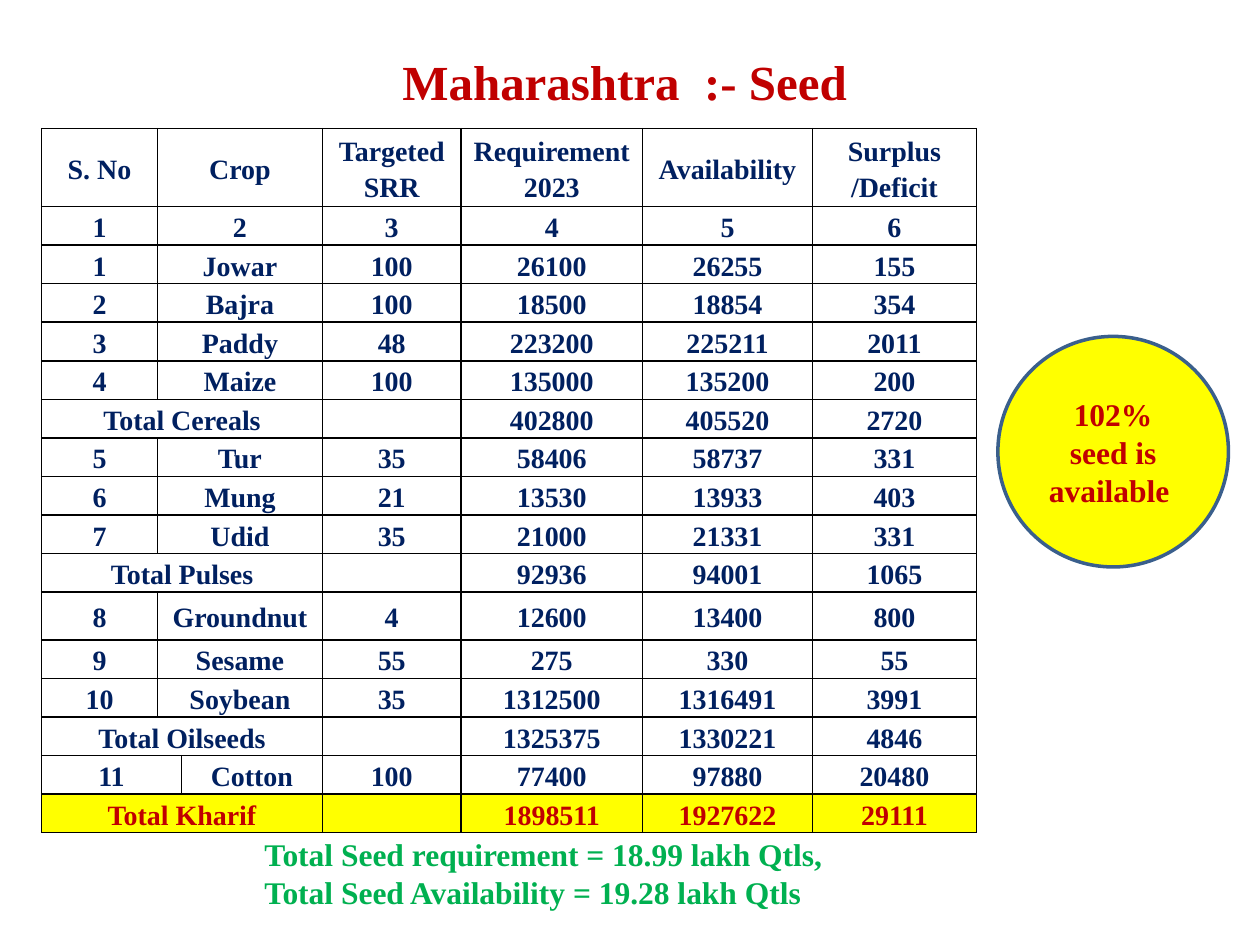
from lxml import etree
from pptx import Presentation
from pptx import util as u
from pptx.dml.color import RGBColor
from pptx.enum import shapes, text
from pptx.oxml import ns

FONT = "Times New Roman"
COLORS = {
    "red": "C00000",
    "navy": "002060",
    "green": "00B050",
    "yellow": "FFFF00",
    "white": "FFFFFF",
    "black": "000000",
    "outline": "3A5F8C",
}

COLUMN_WIDTHS = [0.92, 0.19, 1.12, 1.1, 1.44, 1.35, 1.3]
TABLE_HEIGHT, HEADER_HEIGHT, GROUNDNUT_HEIGHT = 5.59, 0.62, 0.38

# Serial number, crop, then figures; totals leave the crop empty
ROWS = [
    ("S. No", "Crop", "Targeted SRR", "Requirement 2023", "Availability", "Surplus /Deficit"),
    ("1", "2", "3", "4", "5", "6"),
    ("1", "Jowar", "100", "26100", "26255", "155"),
    ("2", "Bajra", "100", "18500", "18854", "354"),
    ("3", "Paddy", "48", "223200", "225211", "2011"),
    ("4", "Maize", "100", "135000", "135200", "200"),
    ("Total Cereals", "", "", "402800", "405520", "2720"),
    ("5", "Tur", "35", "58406", "58737", "331"),
    ("6", "Mung", "21", "13530", "13933", "403"),
    ("7", "Udid", "35", "21000", "21331", "331"),
    ("Total Pulses", "", "", "92936", "94001", "1065"),
    ("8", "Groundnut", "4", "12600", "13400", "800"),
    ("9", "Sesame", "55", "275", "330", "55"),
    ("10", "Soybean", "35", "1312500", "1316491", "3991"),
    ("Total Oilseeds", "", "", "1325375", "1330221", "4846"),
    ("11", "Cotton", "100", "77400", "97880", "20480"),
    ("Total Kharif", "", "", "1898511", "1927622", "29111"),
]


def color(name):
    return RGBColor.from_string(COLORS[name])


def add_run(paragraph, words, size, color_name):
    run = paragraph.add_run()
    run.text = words
    run.font.name = FONT
    run.font.size = u.Pt(size)
    run.font.bold = True
    run.font.color.rgb = color(color_name)


def add_title(slide):
    title = slide.shapes.title
    title.left, title.top = u.Inches(0.23), u.Inches(0.29)
    title.width, title.height = u.Inches(9.35), u.Inches(0.59)
    frame = title.text_frame
    frame.auto_size = text.MSO_AUTO_SIZE.NONE
    frame.vertical_anchor = text.MSO_ANCHOR.BOTTOM
    frame.margin_bottom = 0
    paragraph = frame.paragraphs[0]
    paragraph.alignment = text.PP_ALIGN.CENTER
    add_run(paragraph, " ", 30, "red")
    add_run(paragraph, "Maharashtra  :- Seed", 28, "red")


def add_borders(cell):
    properties = cell._tc.get_or_add_tcPr()
    for position, side in enumerate(("lnL", "lnR", "lnT", "lnB")):
        line = etree.Element(ns.qn(f"a:{side}"), w=str(u.Pt(1)))
        fill = etree.SubElement(line, ns.qn("a:solidFill"))
        etree.SubElement(fill, ns.qn("a:srgbClr"), val=COLORS["black"])
        properties.insert(position, line)


def style_cell(cell, fill_name):
    cell.margin_left = cell.margin_right = u.Inches(0.07)
    cell.margin_top = cell.margin_bottom = 0
    cell.vertical_anchor = text.MSO_ANCHOR.MIDDLE
    cell.fill.solid()
    cell.fill.fore_color.rgb = color(fill_name)
    add_borders(cell)


def fill_cell(cell, words, color_name):
    paragraph = cell.text_frame.paragraphs[0]
    paragraph.alignment = text.PP_ALIGN.CENTER
    paragraph.line_spacing = 1.15
    add_run(paragraph, words, 16, color_name)


def add_seed_table(slide):
    frame = slide.shapes.add_table(
        len(ROWS), len(COLUMN_WIDTHS), u.Inches(0.33), u.Inches(1.02),
        u.Inches(sum(COLUMN_WIDTHS)), u.Inches(TABLE_HEIGHT))
    table = frame.table
    for column, width in zip(table.columns, COLUMN_WIDTHS):
        column.width = u.Inches(width)

    plain_height = (TABLE_HEIGHT - HEADER_HEIGHT - GROUNDNUT_HEIGHT) / (len(ROWS) - 2)
    special_heights = {"S. No": HEADER_HEIGHT, "8": GROUNDNUT_HEIGHT}
    for index, values in enumerate(ROWS):
        label, crop = values[:2]
        grand_total = label == "Total Kharif"
        table.rows[index].height = u.Inches(special_heights.get(label, plain_height))
        for column in range(len(COLUMN_WIDTHS)):
            style_cell(table.cell(index, column), "yellow" if grand_total else "white")

        # The narrow second column joins the label, the crop or both
        crop_column = 2 if crop == "Cotton" else 1
        first, last = (0, 2) if not crop else (0, 1) if crop_column == 2 else (1, 2)
        table.cell(index, first).merge(table.cell(index, last))
        for column, words in zip((0, crop_column, 3, 4, 5, 6), values):
            if words:
                fill_cell(table.cell(index, column), words, "red" if grand_total else "navy")


def add_summary(slide):
    box = slide.shapes.add_textbox(u.Inches(2), u.Inches(6.58), u.Inches(4.68), u.Inches(0.71))
    frame = box.text_frame
    frame.word_wrap = False
    frame.auto_size = text.MSO_AUTO_SIZE.SHAPE_TO_FIT_TEXT
    add_run(frame.paragraphs[0], "Total Seed requirement = 18.99 lakh Qtls,", 18, "green")
    add_run(frame.add_paragraph(), "Total Seed Availability = 19.28 lakh Qtls", 18, "green")


def add_availability_circle(slide):
    circle = slide.shapes.add_shape(
        shapes.MSO_SHAPE.OVAL, u.Inches(7.92), u.Inches(2.67), u.Inches(1.83), u.Inches(1.83))
    circle.shadow.inherit = False
    circle.fill.solid()
    circle.fill.fore_color.rgb = color("yellow")
    circle.line.color.rgb = color("outline")
    circle.line.width = u.Pt(2)
    frame = circle.text_frame
    frame.word_wrap = True
    frame.vertical_anchor = text.MSO_ANCHOR.MIDDLE
    frame.paragraphs[0].alignment = text.PP_ALIGN.CENTER
    add_run(frame.paragraphs[0], "102% seed is available ", 18, "red")


def main():
    presentation = Presentation()
    presentation.slide_width, presentation.slide_height = u.Inches(10), u.Inches(7.5)
    slide = presentation.slides.add_slide(presentation.slide_layouts[5])
    add_title(slide)
    add_seed_table(slide)
    add_summary(slide)
    add_availability_circle(slide)
    presentation.save("out.pptx")


if __name__ == "__main__":
    main()
